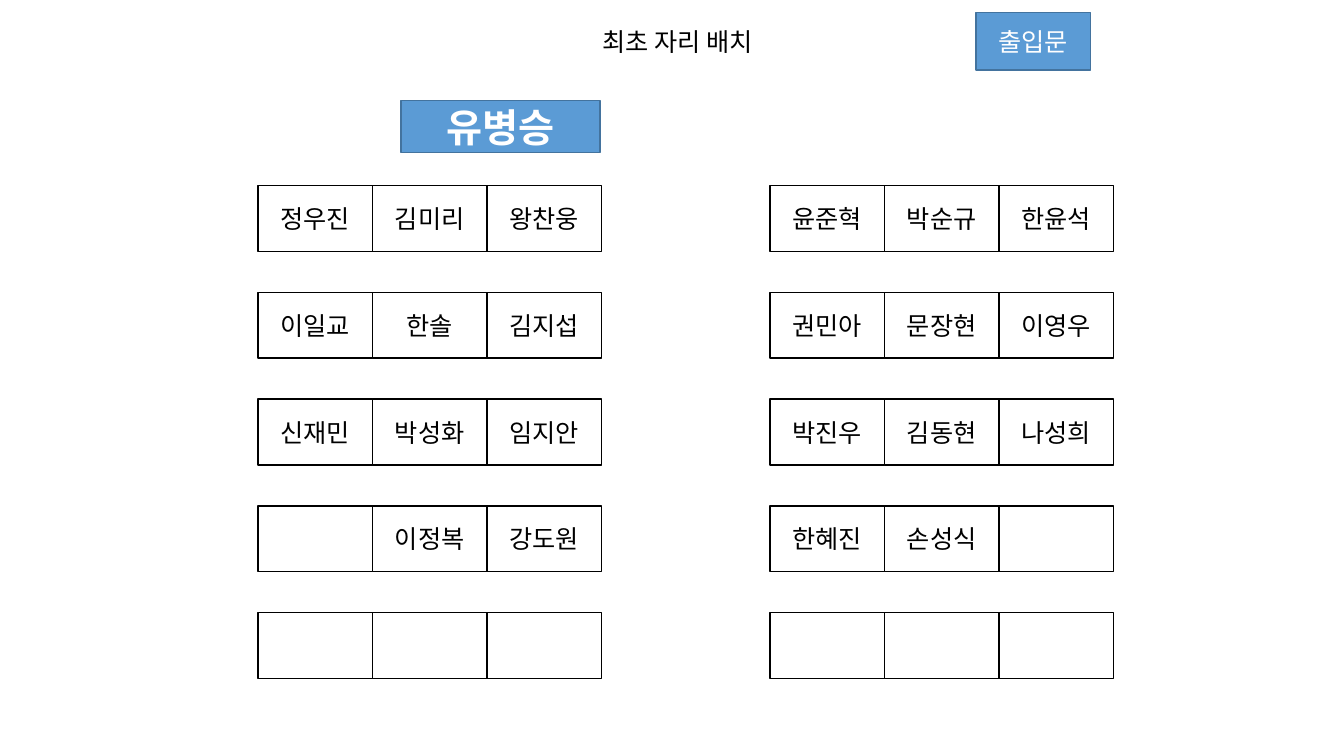
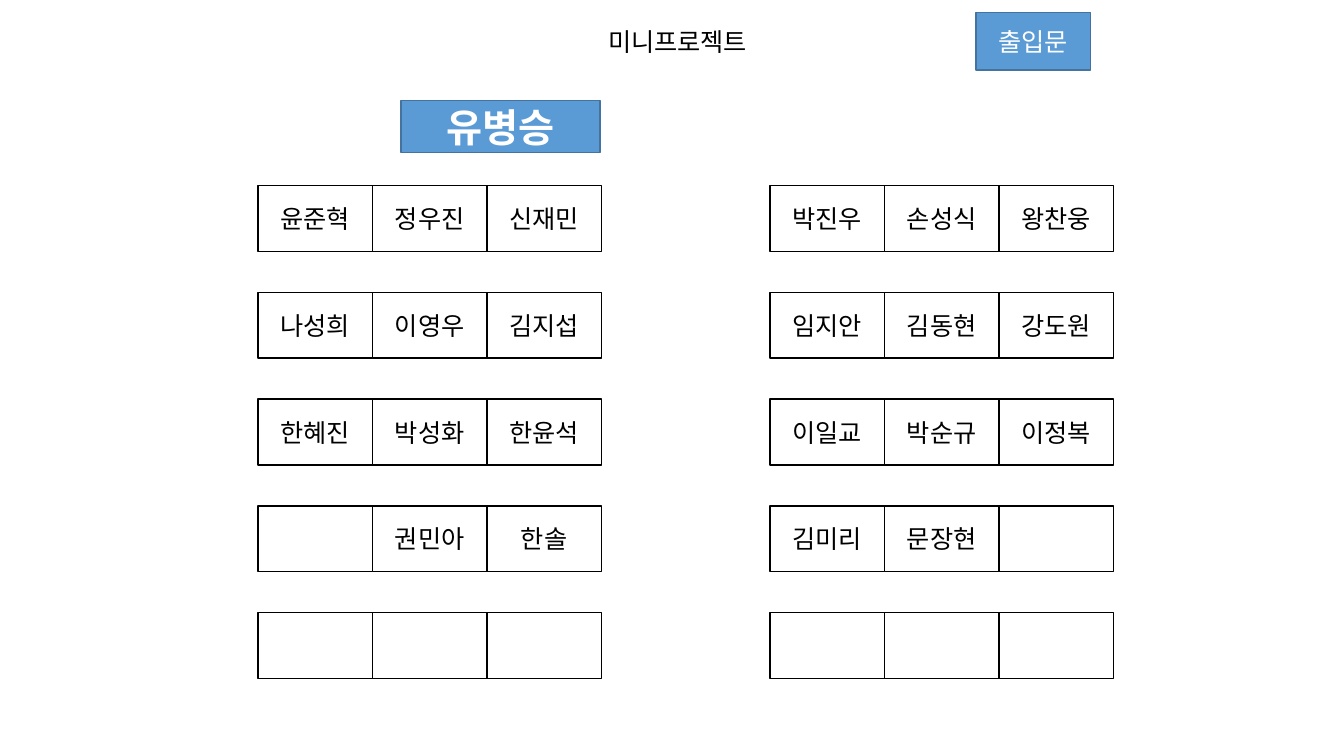
from lxml import etree
from pptx import Presentation
from pptx.dml.color import RGBColor
from pptx.enum import shapes, text
from pptx.oxml import ns
from pptx.util import Pt

COLORS = {"seat": "FFFFFF", "ink": "000000", "accent": "5B9BD5",
          "accent_edge": "43739E", "on_accent": "FFFFFF"}
FONT = "Noto Sans CJK KR"
TITLE_ONLY = 5

SEAT_WIDTH, SEAT_HEIGHT = 81.75, 47
ROW_TOP, ROW_PITCH = 132.5, 76.3
BLOCK_LEFTS = (184.3, 550.1)
SEATS_PER_BLOCK = 3

# Each row holds the left block's three seats, then the right block's.
PLANS = {
    "최초 자리 배치": [
        ["정우진", "김미리", "왕찬웅", "윤준혁", "박순규", "한윤석"],
        ["이일교", "한솔", "김지섭", "권민아", "문장현", "이영우"],
        ["신재민", "박성화", "임지안", "박진우", "김동현", "나성희"],
        ["", "이정복", "강도원", "한혜진", "손성식", ""],
        [""] * 6,
    ],
    "미니프로젝트": [
        ["윤준혁", "정우진", "신재민", "박진우", "손성식", "왕찬웅"],
        ["나성희", "이영우", "김지섭", "임지안", "김동현", "강도원"],
        ["한혜진", "박성화", "한윤석", "이일교", "박순규", "이정복"],
        ["", "권민아", "한솔", "김미리", "문장현", ""],
        [""] * 6,
    ],
}


def rgb(color):
    return RGBColor.from_string(COLORS[color])


class SeatingDeck:
    def __init__(self):
        self.prs = Presentation()
        self.prs.slide_width, self.prs.slide_height = Pt(960), Pt(540)
        self.slide = None

    def new_slide(self):
        layout = self.prs.slide_layouts[TITLE_ONLY]
        self.slide = self.prs.slides.add_slide(layout)

    def add_label(self, frame, words, color, size=18, bold=False):
        paragraph = frame.paragraphs[0]
        paragraph.alignment = text.PP_ALIGN.CENTER
        run = paragraph.add_run()
        run.text = words
        font = run.font
        font.size, font.bold, font.name = Pt(size), bold, FONT
        font.color.rgb = rgb(color)
        # Hangul takes its typeface from the East Asian font.
        east_asian = etree.SubElement(run._r.get_or_add_rPr(), ns.qn("a:ea"))
        east_asian.set("typeface", FONT)

    def title(self, words):
        heading = self.slide.shapes.title
        heading.left, heading.top = Pt(314), Pt(15)
        heading.width, heading.height = Pt(340), Pt(29)
        frame = heading.text_frame
        frame.word_wrap = True
        frame.auto_size = text.MSO_AUTO_SIZE.SHAPE_TO_FIT_TEXT
        frame.vertical_anchor = text.MSO_ANCHOR.TOP
        self.add_label(frame, words, "ink")

    def box(self, left, top, width, height, fill, edge):
        rect = self.slide.shapes.add_shape(
            shapes.MSO_SHAPE.RECTANGLE,
            Pt(left), Pt(top), Pt(width), Pt(height))
        rect.shadow.inherit = False
        rect.fill.solid()
        rect.fill.fore_color.rgb = rgb(fill)
        rect.line.color.rgb = rgb(edge)
        rect.line.width = Pt(1)
        rect.text_frame.vertical_anchor = text.MSO_ANCHOR.MIDDLE
        return rect.text_frame

    def sign(self, words, left, top, width, height, **style):
        frame = self.box(left, top, width, height, "accent", "accent_edge")
        self.add_label(frame, words, "on_accent", **style)

    def seats(self, rows):
        for row, names in enumerate(rows):
            top = ROW_TOP + row * ROW_PITCH
            for place, name in enumerate(names):
                block, column = divmod(place, SEATS_PER_BLOCK)
                left = BLOCK_LEFTS[block] + column * SEAT_WIDTH
                frame = self.box(left, top, SEAT_WIDTH, SEAT_HEIGHT,
                                 "seat", "ink")
                if name:
                    self.add_label(frame, name, "ink")


def main():
    deck = SeatingDeck()
    for heading, rows in PLANS.items():
        deck.new_slide()
        deck.seats(rows)
        deck.sign("유병승", 286.5, 72, 142, 37, size=28, bold=True)
        deck.sign("출입문", 697, 9, 82, 41)
        deck.title(heading)
    deck.prs.save("out.pptx")


if __name__ == "__main__":
    main()
